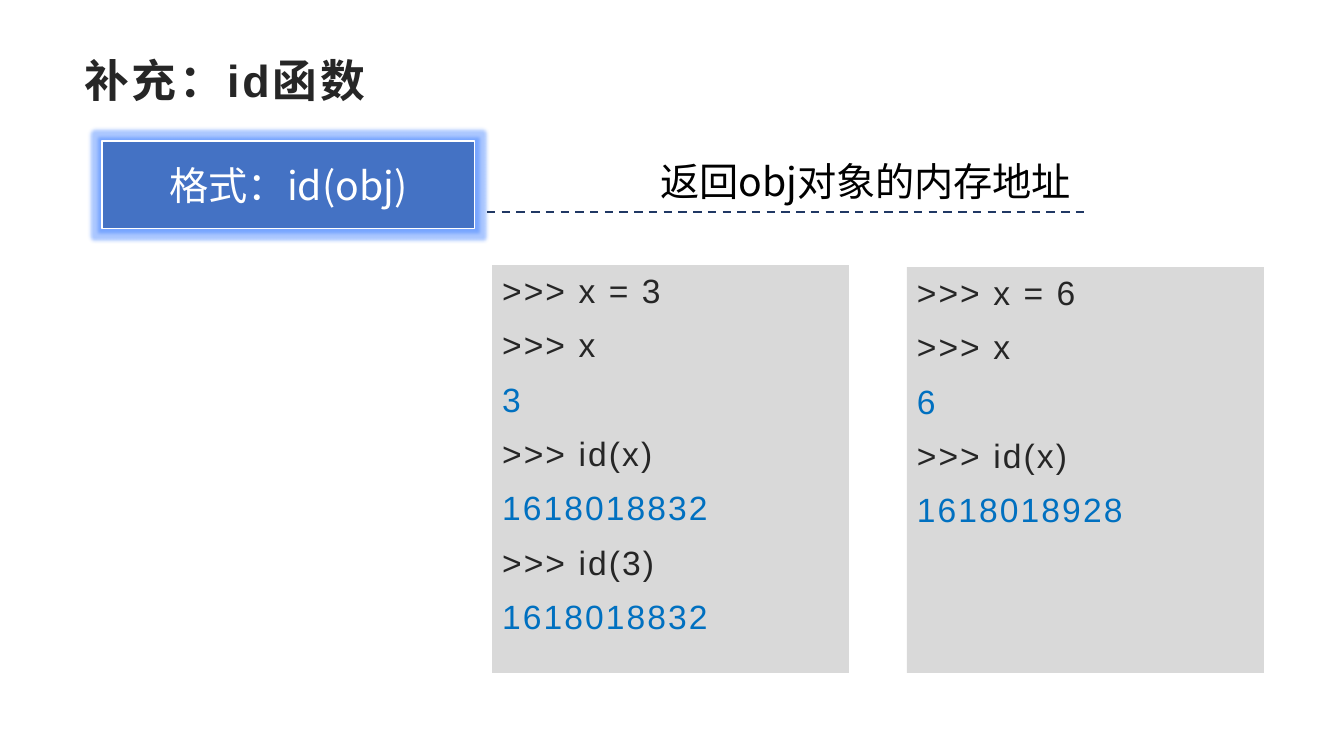
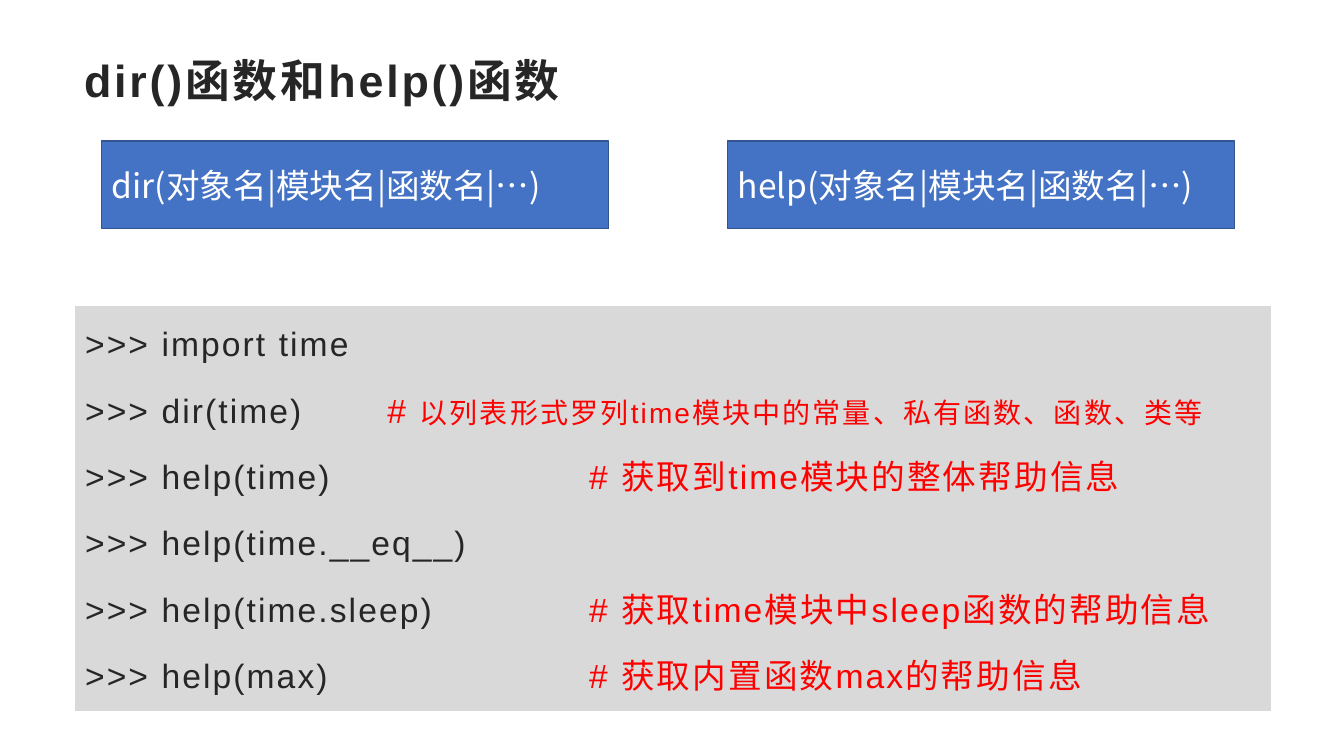
from lxml import etree
from pptx import Presentation
from pptx.dml.color import RGBColor
from pptx.enum.dml import MSO_LINE_DASH_STYLE as Dash
from pptx.enum.shapes import MSO_CONNECTOR as Connector, MSO_SHAPE as Preset
from pptx.enum.text import MSO_ANCHOR as Anchor, MSO_AUTO_SIZE as AutoSize, PP_ALIGN as Align
from pptx.oxml.ns import qn
from pptx.util import Emu, Pt

PX = 914400 / 100.8
TAB_WIDTH = 914400
SLIDE_SIZE = (1344, 756)
TITLE_BOX = (74, 48, 1196, 79)

LATIN, CJK = "Arial", "Noto Sans CJK SC"
INK, OUTPUT, COMMENT = "262626", "0070C0", "FF0000"
PANEL, BLUE, DARK_BLUE, NAVY = "D9D9D9", "4472C4", "325491", "203864"
WHITE, BLACK, GLOW = "FFFFFF", "000000", "2E75FF"


def px(length):
    return Emu(round(length * PX))


def color(hex_string):
    return RGBColor.from_string(hex_string)


def fill_shape(shape, hex_string):
    shape.fill.solid()
    shape.fill.fore_color.rgb = color(hex_string)


def place(shape, box):
    shape.left, shape.top, shape.width, shape.height = map(px, box)


def add_run(paragraph, text, size, hex_string, font=LATIN, bold=False, spacing=0):
    """Add a run; spacing is the letter spacing in points."""
    run = paragraph.add_run()
    run.text = text
    run.font.size = Pt(size)
    run.font.bold = bold
    run.font.name = font
    run.font.color.rgb = color(hex_string)
    properties = run.font._element
    latin = properties.find(qn("a:latin"))
    east_asian = etree.Element(qn("a:ea"), typeface=font)
    latin.addnext(east_asian)
    if spacing:
        properties.set("spc", str(round(spacing * 100)))


def set_frame(shape, anchor):
    frame = shape.text_frame
    frame.word_wrap = True
    frame.auto_size = AutoSize.NONE
    frame.vertical_anchor = anchor
    return frame


def add_title(slide, text):
    title = slide.shapes.title
    place(title, TITLE_BOX)
    paragraph = set_frame(title, Anchor.TOP).paragraphs[0]
    paragraph.alignment = Align.LEFT
    paragraph.line_spacing = 1.0
    add_run(paragraph, text, 32, INK, bold=True, spacing=2)


def remove_bullet_and_set_tabs(paragraph):
    properties = paragraph._p.get_or_add_pPr()
    properties.set("marL", "0")
    properties.set("indent", "0")
    properties.set("defTabSz", str(TAB_WIDTH))
    etree.SubElement(properties, qn("a:buNone"))


def widen_default_tabs(presentation):
    for root in (presentation.element, presentation.slide_master.element):
        for element in root.iter():
            if element.get("defTabSz"):
                element.set("defTabSz", str(TAB_WIDTH))


def fill_code_panel(shape, box, lines, line_spacing=1.0):
    """Write lines, each a list of (text, colour, size) runs, on a grey panel."""
    place(shape, box)
    fill_shape(shape, PANEL)
    frame = set_frame(shape, Anchor.TOP)
    for index, runs in enumerate(lines):
        paragraph = frame.paragraphs[0] if index == 0 else frame.add_paragraph()
        remove_bullet_and_set_tabs(paragraph)
        paragraph.alignment = Align.LEFT
        paragraph.line_spacing = line_spacing
        paragraph.space_before = Pt(0)
        paragraph.space_after = Pt(10)
        for text, hex_string, size in runs:
            add_run(paragraph, text, size, hex_string, spacing=1.5)


def session(lines):
    """Colour prompts as ink and results as output."""
    return [[(line, INK if line.startswith(">>>") else OUTPUT, 24)] for line in lines]


def add_syntax_box(slide, box, text, size, border, alignment=Align.LEFT):
    shape = slide.shapes.add_shape(Preset.RECTANGLE, *map(px, box))
    shape.shadow.inherit = False
    fill_shape(shape, BLUE)
    shape.line.color.rgb = color(border)
    shape.line.width = Pt(0.75)
    paragraph = set_frame(shape, Anchor.MIDDLE).paragraphs[0]
    paragraph.alignment = alignment
    add_run(paragraph, text, size, WHITE, CJK)
    return shape


def add_glow(shape, radius):
    effects = shape._element.spPr.find(qn("a:effectLst"))
    glow = etree.SubElement(effects, qn("a:glow"), rad=str(Pt(radius)))
    glow_color = etree.SubElement(glow, qn("a:srgbClr"), val=GLOW)
    etree.SubElement(glow_color, qn("a:alpha"), val="40000")


def add_underlined_note(slide, box, text):
    """Set a right-aligned note above a dashed rule that spans the box."""
    left, top, width, height = box
    rule_y = top + height + 3
    rule = slide.shapes.add_connector(
        Connector.STRAIGHT, px(left), px(rule_y), px(left + width), px(rule_y))
    rule.line.color.rgb = color(NAVY)
    rule.line.width = Pt(1.5)
    rule.line.dash_style = Dash.DASH
    etree.SubElement(rule._element.spPr, qn("a:effectLst"))
    note = slide.shapes.add_textbox(px(left + 142), px(top), px(width - 147), px(height))
    paragraph = set_frame(note, Anchor.TOP).paragraphs[0]
    paragraph.alignment = Align.RIGHT
    add_run(paragraph, text, 28, BLACK, CJK)


def add_titled_slide(presentation, title):
    slide = presentation.slides.add_slide(presentation.slide_layouts[1])
    add_title(slide, title)
    return slide


def build_id_slide(presentation):
    slide = add_titled_slide(presentation, "补充：id函数")
    fill_code_panel(slide.placeholders[1], (492, 265, 357, 408), session([
        ">>> x = 3", ">>> x", "3", ">>> id(x)", "1618018832",
        ">>> id(3)", "1618018832"]))
    syntax = add_syntax_box(
        slide, (102, 141, 373, 88), "格式：id(obj)", 28, WHITE, Align.CENTER)
    add_glow(syntax, 5)
    second_panel = slide.shapes.add_textbox(0, 0, 0, 0)
    fill_code_panel(second_panel, (907, 267, 357, 406), session([
        ">>> x = 6", ">>> x", "6", ">>> id(x)", "1618018928"]))
    add_underlined_note(slide, (487, 152, 599, 57), "返回obj对象的内存地址")


def build_help_slide(presentation):
    slide = add_titled_slide(presentation, "dir()函数和help()函数")
    lines = [
        [(">>> import time", INK, 24)],
        [(">>> dir(time)\t", INK, 24), ("# ", COMMENT, 24),
         ("以列表形式罗列time模块中的常量、私有函数、函数、类等", COMMENT, 20)],
        [(">>> help(time)\t\t\t", INK, 24),
         ("# 获取到time模块的整体帮助信息", COMMENT, 24)],
        [(">>> help(time.__eq__)", INK, 24)],
        [(">>> help(time.sleep)\t\t", INK, 24),
         ("# 获取time模块中sleep函数的帮助信息", COMMENT, 24)],
        [(">>> help(max)\t\t\t", INK, 24),
         ("# 获取内置函数max的帮助信息", COMMENT, 24)],
    ]
    fill_code_panel(slide.placeholders[1], (75, 306, 1196, 405), lines, 1.3)
    for left, name in ((102, "dir"), (728, "help")):
        add_syntax_box(slide, (left, 141, 507, 88),
                       f"{name}(对象名|模块名|函数名|…)", 24, DARK_BLUE)


def main():
    presentation = Presentation()
    presentation.slide_width, presentation.slide_height = map(px, SLIDE_SIZE)
    widen_default_tabs(presentation)
    build_id_slide(presentation)
    build_help_slide(presentation)
    presentation.save("out.pptx")


if __name__ == "__main__":
    main()
